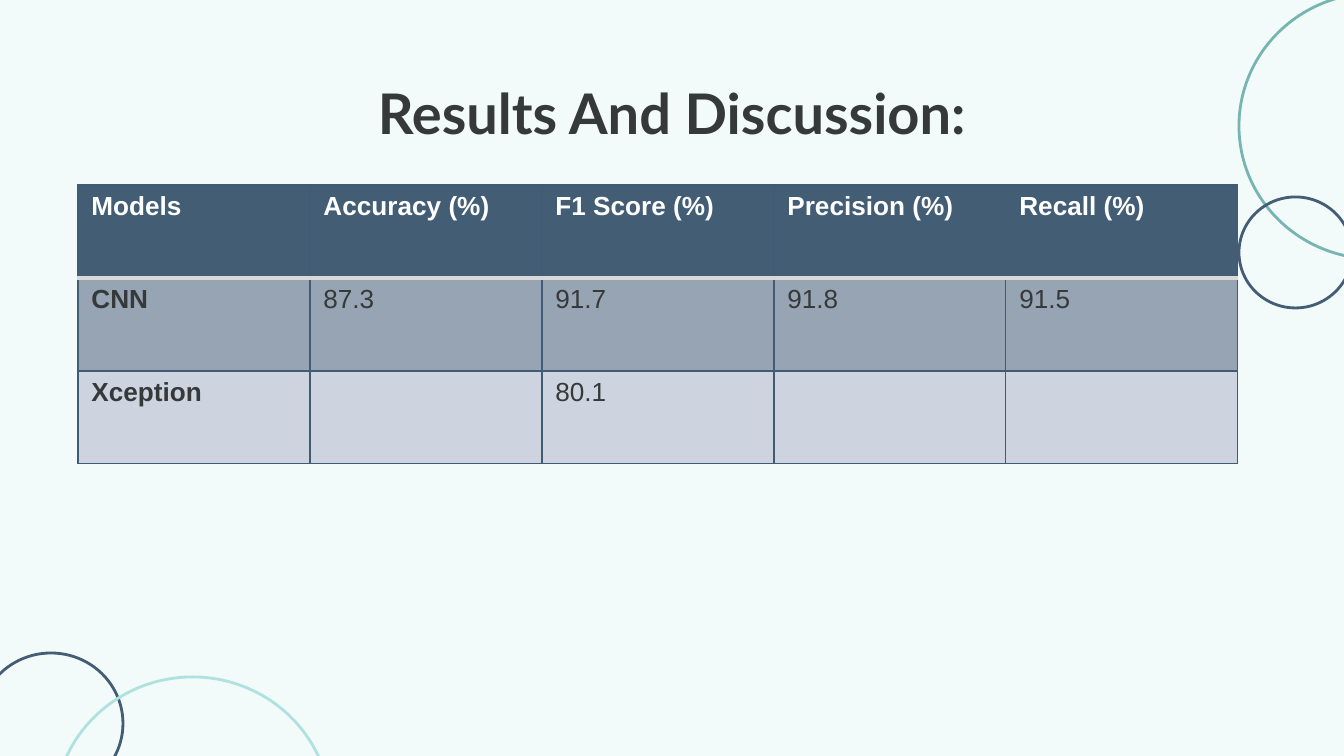
from lxml.etree import SubElement
from pptx import Presentation
from pptx.dml.color import RGBColor
from pptx.enum.shapes import MSO_SHAPE as Shape
from pptx.enum.text import MSO_ANCHOR as Anchor, PP_ALIGN as Align
from pptx.oxml.ns import qn
from pptx.util import Emu, Pt

BACKGROUND = RGBColor(0xF2, 0xFA, 0xFA)
NAVY = RGBColor(0x43, 0x5D, 0x74)
TEAL = RGBColor(0x76, 0xB5, 0xB1)
MINT = RGBColor(0xAF, 0xE2, 0xDF)
INK = RGBColor(0x35, 0x39, 0x3A)
WHITE = RGBColor(0xFF, 0xFF, 0xFF)
GRID = RGBColor(0x40, 0x5B, 0x73)
RULE = RGBColor(0xD9, 0xD9, 0xD9)
BAND_DARK = RGBColor(0x97, 0xA4, 0xB3)
BAND_LIGHT = RGBColor(0xCD, 0xD3, 0xDF)


def px(count):
    """Turn pixels (1344 to the slide width of 10 inches) into EMU."""
    return Emu(round(count * 9144000 / 1344))


def set_border(cell, side, color, points):
    line = SubElement(cell._tc.get_or_add_tcPr(), qn("a:ln" + side), w=str(Pt(points)))
    fill = SubElement(line, qn("a:solidFill"))
    SubElement(fill, qn("a:srgbClr"), val=str(color))


deck = Presentation()
deck.slide_width, deck.slide_height = px(1344), px(756)
page = deck.slides.add_slide(deck.slide_layouts[5])
page.background.fill.solid()
page.background.fill.fore_color.rgb = BACKGROUND

# Corner circles
circles = [
    (1239, -7, 272, 266, TEAL),
    (1239, 197, 113, 111, NAVY),
    (-21, 653, 144, 141, NAVY),
    (54, 677, 277, 272, MINT),
]
for left, top, width, height, color in circles:
    circle = page.shapes.add_shape(Shape.OVAL, px(left), px(top), px(width), px(height))
    circle.shadow.inherit = False
    circle.fill.background()
    circle.line.color.rgb = color
    circle.line.width = Pt(1.5)

# Title
title = page.shapes.title
title.left, title.top, title.width, title.height = px(105), px(66), px(1134), px(85)
frame = title.text_frame
frame.word_wrap = True
frame.vertical_anchor = Anchor.TOP
frame.margin_left = frame.margin_right = frame.margin_top = frame.margin_bottom = px(13)
para = frame.paragraphs[0]
para.alignment = Align.CENTER
span = para.add_run()
span.text = "Results And Discussion:"
span.font.name = "Lato"
span.font.size = Pt(30)
span.font.bold = True
span.font.color.rgb = INK

# Results table
results = [
    ["Models", "Accuracy (%)", "F1 Score (%)", "Precision (%)", "Recall (%)"],
    ["CNN", "87.3", "91.7", "91.8", "91.5"],
    ["Xception", "", "80.1", "", ""],
]
row_fills = [NAVY, BAND_DARK, BAND_LIGHT]
table = page.shapes.add_table(3, 5, px(78), px(185), px(1160), px(279)).table
for column in table.columns:
    column.width = px(232)
for row in table.rows:
    row.height = px(93)

for row_index, values in enumerate(results):
    for column_index, value in enumerate(values):
        cell = table.cell(row_index, column_index)
        for side in "LRTB":
            under_header = (row_index, side) in [(0, "B"), (1, "T")]
            set_border(cell, side, *((RULE, 2) if under_header else (GRID, 0.75)))
        cell.fill.solid()
        cell.fill.fore_color.rgb = row_fills[row_index]
        if value:
            span = cell.text_frame.paragraphs[0].add_run()
            span.text = value
            span.font.name = "Arial"
            span.font.size = Pt(14)
            span.font.bold = row_index == 0 or column_index == 0
            span.font.color.rgb = WHITE if row_index == 0 else INK

deck.save("out.pptx")
